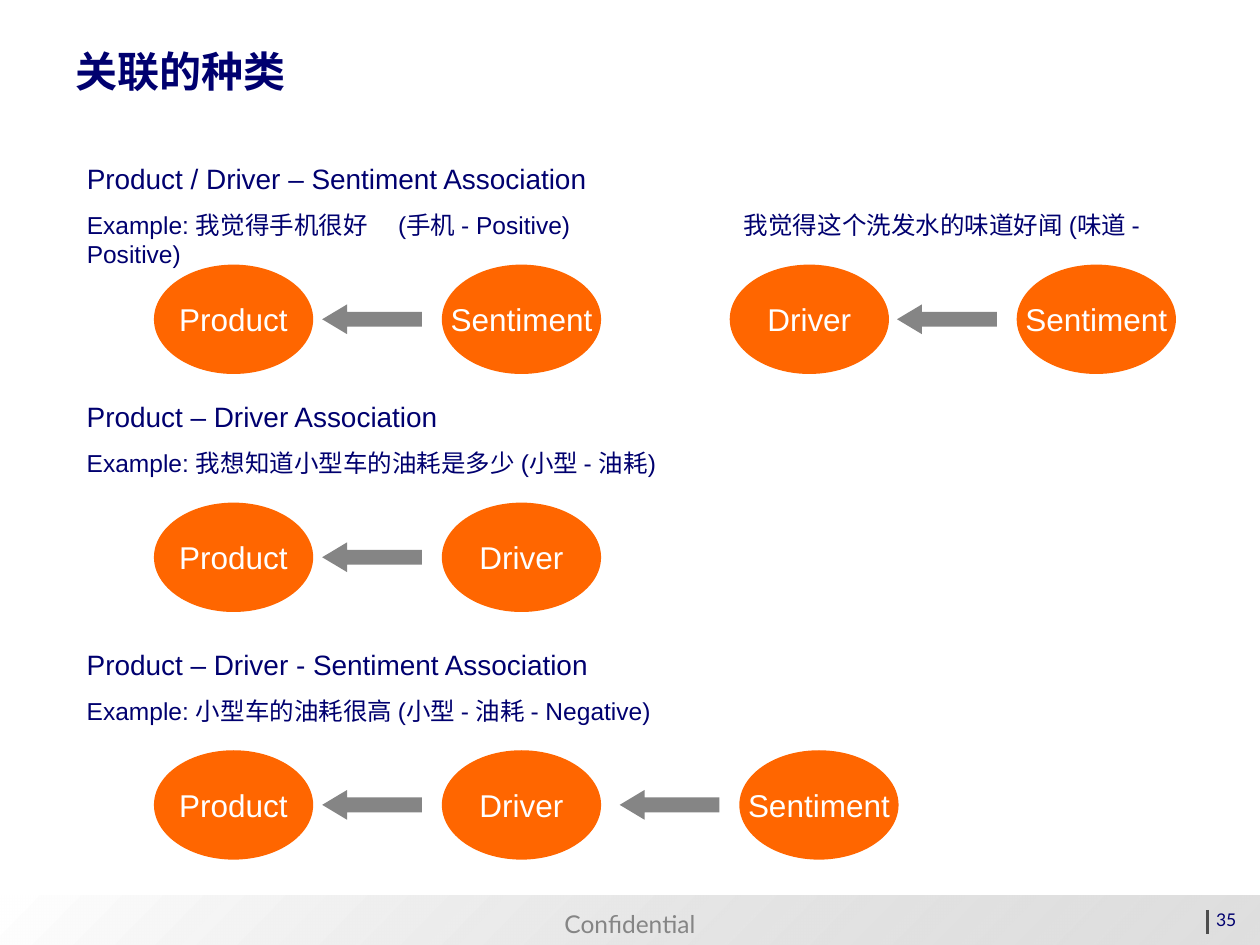
from lxml import etree
from pptx import Presentation
from pptx.dml.color import RGBColor
from pptx.enum import shapes, text
from pptx.oxml.ns import qn
from pptx.util import Pt

COLORS = {"navy": "00006F", "orange": "FF6600", "gray": "858585", "bar": "4D4D4D",
          "white": "FFFFFF", "silver": "C0C0C0"}

TITLE = "关联的种类"
FOOTER = "Confidential"
PAGE = "35"

# Each chain lists (label, left); an arrow points from each label to the one before.
SECTIONS = [
    {"heading": "Product / Driver – Sentiment Association",
     "example": "Example: 我觉得手机很好\t(手机 - Positive)\t我觉得这个洗发水的味道好闻 (味道 - Positive)",
     "tabs": [178, 375.5], "box": (88.5, 663, 69), "oval_top": 151.2,
     "chains": [[("Product", 88), ("Sentiment", 252.5)],
                [("Driver", 417), ("Sentiment", 581)]]},
    {"heading": "Product – Driver Association",
     "example": "Example: 我想知道小型车的油耗是多少 (小型 - 油耗)",
     "tabs": [], "box": (224.6, 487.5, 52), "oval_top": 287.2,
     "chains": [[("Product", 88), ("Driver", 252.5)]]},
    {"heading": "Product – Driver - Sentiment Association",
     "example": "Example: 小型车的油耗很高 (小型 - 油耗 - Negative)",
     "tabs": [], "box": (366.5, 487.5, 52), "oval_top": 428.7,
     "chains": [[("Product", 88), ("Driver", 252.5), ("Sentiment", 422.5)]]},
]

OVAL_W, OVAL_H = 91, 62.5
ARROW_W, ARROW_H = 57, 17
ARROW_LEAD = 68.4  # from the arrow's left to the left of the oval it starts at
SECTION_LEFT = 42.5


def rgb(name):
    return RGBColor.from_string(COLORS[name])


def add_preset(slide, kind, box, color):
    shape = slide.shapes.add_shape(kind, *map(Pt, box))
    shape.shadow.inherit = False
    shape.fill.solid()
    shape.fill.fore_color.rgb = rgb(color)
    shape.line.fill.background()
    return shape


def write(paragraph, words, size, color, **formats):
    run = paragraph.add_run()
    run.text = words
    run.font.color.rgb = rgb(color)
    for key, value in {"name": "Arial", "size": Pt(size), **formats}.items():
        setattr(run.font, key, value)


def add_text(slide, box, **frame_formats):
    frame = slide.shapes.add_textbox(*map(Pt, box)).text_frame
    for key, value in {"word_wrap": True, **frame_formats}.items():
        setattr(frame, key, value)
    return frame


def add_tabs(paragraph, stops):
    tab_list = etree.SubElement(paragraph._p.get_or_add_pPr(), qn("a:tabLst"))
    for stop in stops:
        etree.SubElement(tab_list, qn("a:tab"), pos=str(Pt(stop)), algn="l")


def add_footer(slide):
    band_box = (0, 512, 720, 28)
    band = add_preset(slide, shapes.MSO_SHAPE.RECTANGLE, band_box, "white")
    band.fill.gradient()
    band.fill.gradient_angle = 315
    for stop, color, position in zip(band.fill.gradient_stops, ("white", "silver"), (0, 1)):
        stop.color.rgb = rgb(color)
        stop.position = position
    silver = list(band._element.iter(qn("a:srgbClr")))[-1]
    etree.SubElement(silver, qn("a:alpha"), val="50000")

    notice = add_text(slide, band_box, word_wrap=False,
                      vertical_anchor=text.MSO_ANCHOR.BOTTOM).paragraphs[0]
    notice.alignment = text.PP_ALIGN.CENTER
    write(notice, FOOTER, 14, "gray", name="Lato")

    bar = slide.shapes.add_connector(shapes.MSO_CONNECTOR.STRAIGHT,
                                     Pt(690), Pt(520), Pt(690), Pt(534))
    bar.line.color.rgb = rgb("bar")
    bar.line.width = Pt(2)
    etree.SubElement(bar._element.spPr, qn("a:effectLst"))

    number = add_text(slide, (546, 516, 167.5, 20)).paragraphs[0]
    number.alignment = text.PP_ALIGN.RIGHT
    write(number, PAGE, 10, "navy", name="Lato")


def add_chain(slide, chain, top):
    for index, (label, left) in enumerate(chain):
        oval = add_preset(slide, shapes.MSO_SHAPE.OVAL, (left, top, OVAL_W, OVAL_H), "orange")
        oval.text_frame.word_wrap = False
        oval.text_frame.vertical_anchor = text.MSO_ANCHOR.MIDDLE
        paragraph = oval.text_frame.paragraphs[0]
        paragraph.alignment = text.PP_ALIGN.CENTER
        write(paragraph, label, 18, "white")
        if index:
            arrow_box = (left - ARROW_LEAD, top + (OVAL_H - ARROW_H) / 2, ARROW_W, ARROW_H)
            arrow = add_preset(slide, shapes.MSO_SHAPE.LEFT_ARROW, arrow_box, "gray")
            arrow.adjustments[0] = 0.5
            arrow.adjustments[1] = 0.835


def add_section(slide, section):
    for chain in section["chains"]:
        add_chain(slide, chain, section["oval_top"])
    top, width, height = section["box"]
    frame = add_text(slide, (SECTION_LEFT, top, width, height),
                     auto_size=text.MSO_AUTO_SIZE.SHAPE_TO_FIT_TEXT)
    write(frame.paragraphs[0], section["heading"], 16, "navy")
    example = frame.add_paragraph()
    if section["tabs"]:
        add_tabs(example, section["tabs"])
    example.space_before = Pt(8.8)
    write(example, section["example"], 14, "navy")


def main():
    deck = Presentation()
    deck.slide_width, deck.slide_height = Pt(720), Pt(540)
    slide = deck.slides.add_slide(deck.slide_layouts[6])
    add_footer(slide)
    title = add_text(slide, (36, 22.5, 648, 36), vertical_anchor=text.MSO_ANCHOR.MIDDLE)
    write(title.paragraphs[0], TITLE, 24, "navy", bold=True)
    for section in SECTIONS:
        add_section(slide, section)
    deck.save("out.pptx")


if __name__ == "__main__":
    main()
